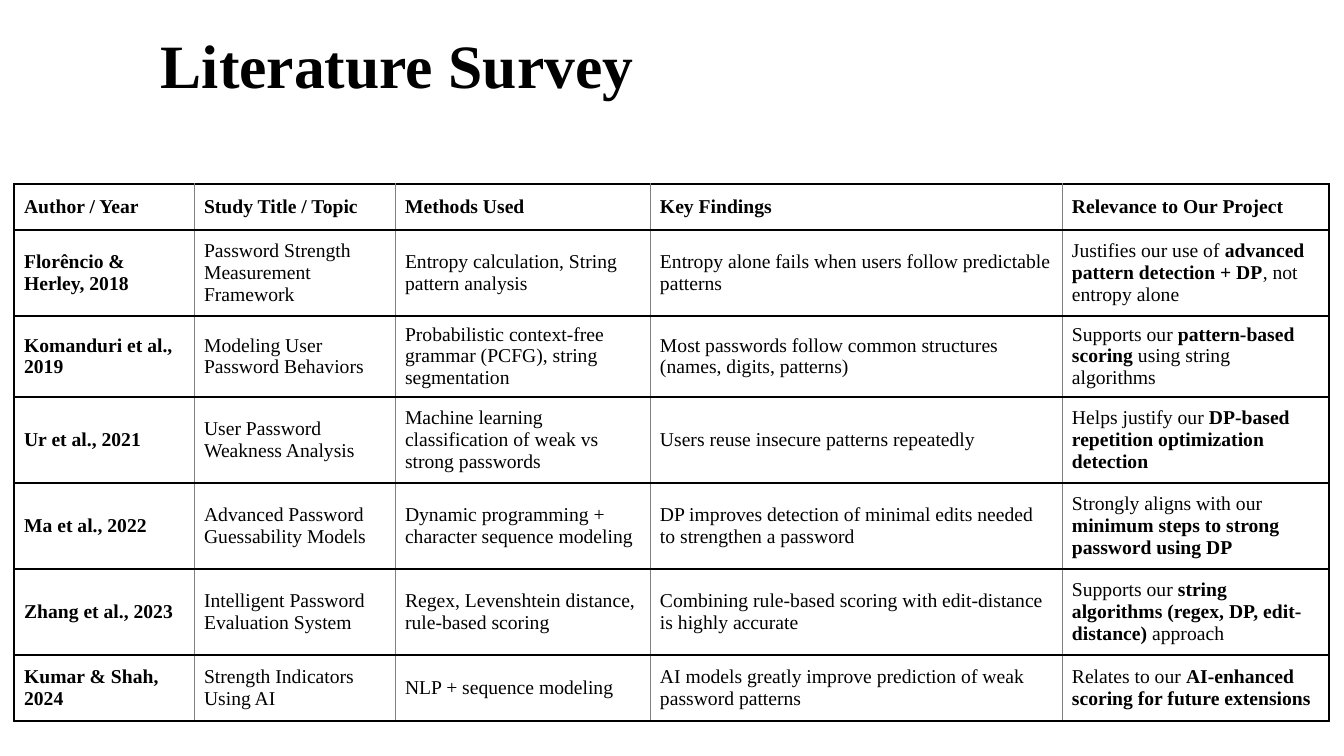
from lxml import etree
from pptx import Presentation
from pptx import util as u
from pptx.dml.color import RGBColor
from pptx.enum import text
from pptx.oxml import ns

PX = 914400 / 100.8
FONT = "Times New Roman"
BLACK = RGBColor(0x00, 0x00, 0x00)
GREY = RGBColor(0x80, 0x80, 0x80)
OUTER = (BLACK, 1.5)
INNER = (GREY, 0.5)

COLUMNS = [180, 201, 255, 412, 267]
ROWS = [46, 86, 66, 86, 86, 86, 66]

# Double asterisks switch bold on and off
SURVEY = [
    ["**Author / Year**", "**Study Title / Topic**", "**Methods Used**",
     "**Key Findings**", "**Relevance to Our Project**"],
    ["**Florêncio & Herley, 2018**", "Password Strength Measurement Framework",
     "Entropy calculation, String pattern analysis",
     "Entropy alone fails when users follow predictable patterns",
     "Justifies our use of **advanced pattern detection + DP**, not entropy alone"],
    ["**Komanduri et al., 2019**", "Modeling User Password Behaviors",
     "Probabilistic context-free grammar (PCFG), string segmentation",
     "Most passwords follow common structures (names, digits, patterns)",
     "Supports our **pattern-based scoring** using string algorithms"],
    ["**Ur et al., 2021**", "User Password Weakness Analysis",
     "Machine learning classification of weak vs strong passwords",
     "Users reuse insecure patterns repeatedly",
     "Helps justify our **DP-based repetition optimization detection**"],
    ["**Ma et al., 2022**", "Advanced Password Guessability Models",
     "Dynamic programming + character sequence modeling",
     "DP improves detection of minimal edits needed to strengthen a password",
     "Strongly aligns with our **minimum steps to strong password using DP**"],
    ["**Zhang et al., 2023**", "Intelligent Password Evaluation System",
     "Regex, Levenshtein distance, rule-based scoring",
     "Combining rule-based scoring with edit-distance is highly accurate",
     "Supports our **string algorithms (regex, DP, edit-distance)** approach"],
    ["**Kumar & Shah, 2024**", "Strength Indicators Using AI",
     "NLP + sequence modeling",
     "AI models greatly improve prediction of weak password patterns",
     "Relates to our **AI-enhanced scoring for future extensions**"],
]


def px(n):
    return u.Emu(round(n * PX))


def write(tf, content, size=14, color=BLACK, spacing=None):
    """Fill the first paragraph, with bold between double asterisks."""
    tf.word_wrap = True
    p = tf.paragraphs[0]
    if spacing:
        p.line_spacing = spacing
    for i, part in enumerate(content.split("**")):
        if part:
            r = p.add_run()
            r.text = part
            r.font.name = FONT
            r.font.size = u.Pt(size)
            r.font.bold = i % 2 == 1
            r.font.color.rgb = color


def set_borders(cell, **sides):
    """Draw cell borders; sides are L, R, T and B in schema order."""
    tc_pr = cell._tc.get_or_add_tcPr()
    for i, (side, (color, width)) in enumerate(sides.items()):
        ln = etree.Element(ns.qn(f"a:ln{side}"), w=str(u.Pt(width)))
        fill = etree.SubElement(ln, ns.qn("a:solidFill"))
        etree.SubElement(fill, ns.qn("a:srgbClr"), val=str(color))
        tc_pr.insert(i, ln)


def add_title(s, content, x, y, w, h):
    tf = s.shapes.add_textbox(px(x), px(y), px(w), px(h)).text_frame
    tf.vertical_anchor = text.MSO_ANCHOR.MIDDLE
    write(tf, content, size=44, spacing=0.9)


def add_survey_table(s, x, y):
    frame = s.shapes.add_table(len(ROWS), len(COLUMNS), px(x), px(y),
                               px(sum(COLUMNS)), px(sum(ROWS)))
    table = frame.table
    table.first_row = table.horz_banding = False
    for column, width in zip(table.columns, COLUMNS):
        column.width = px(width)
    last = len(COLUMNS) - 1
    for row, height, entries in zip(table.rows, ROWS, SURVEY):
        row.height = px(height)
        for j, (cell, entry) in enumerate(zip(row.cells, entries)):
            cell.fill.background()
            cell.vertical_anchor = text.MSO_ANCHOR.MIDDLE
            write(cell.text_frame, entry)
            set_borders(cell, L=OUTER if j == 0 else INNER,
                        R=OUTER if j == last else INNER, T=OUTER, B=OUTER)


def main():
    prs = Presentation()
    prs.slide_width, prs.slide_height = px(1344), px(756)
    s = prs.slides.add_slide(prs.slide_layouts[6])
    # Heading
    add_title(s, "**Literature Survey**", 151, -4, 1159, 146)
    # Survey of earlier studies
    add_survey_table(s, 14, 184)
    prs.save("out.pptx")


if __name__ == "__main__":
    main()
